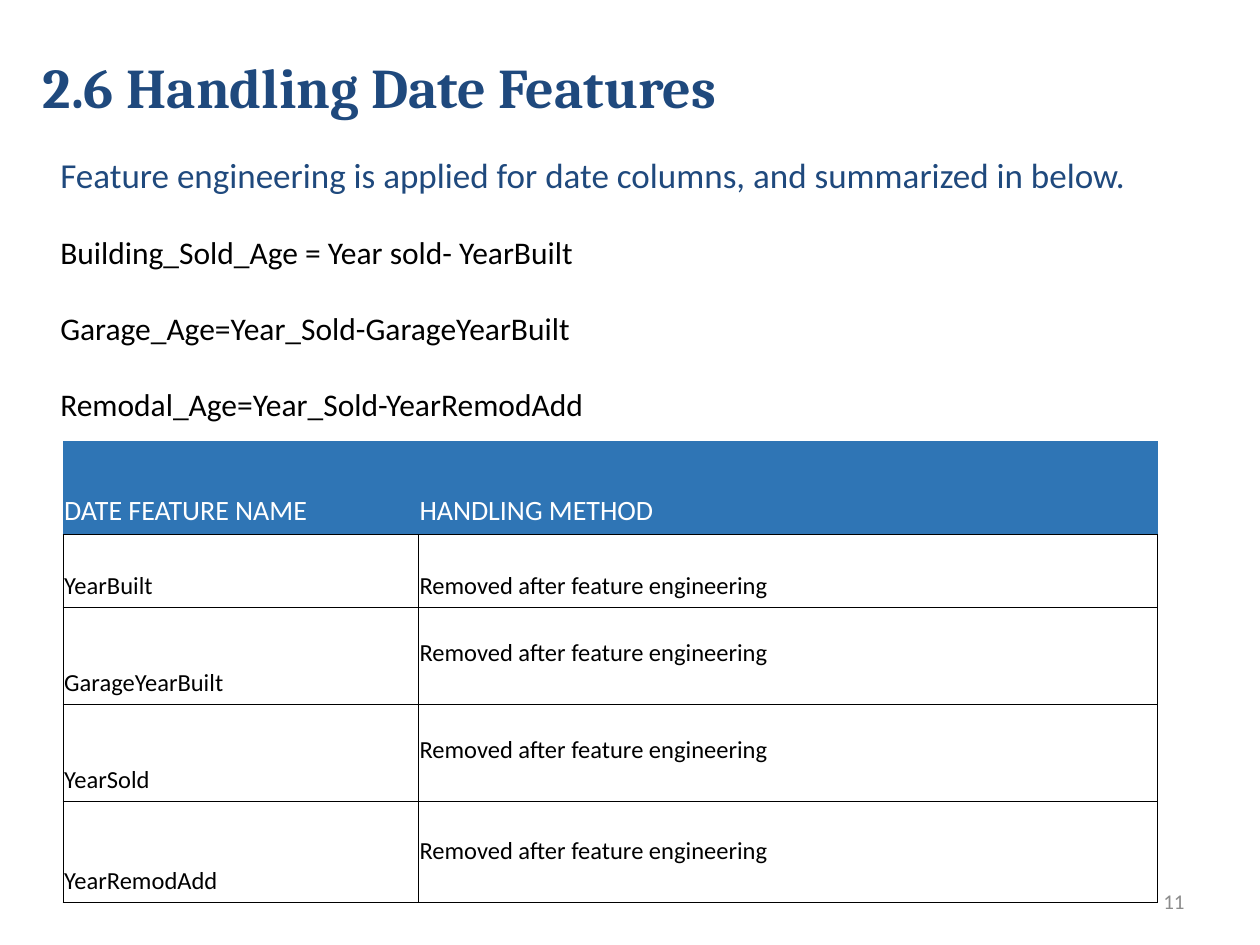
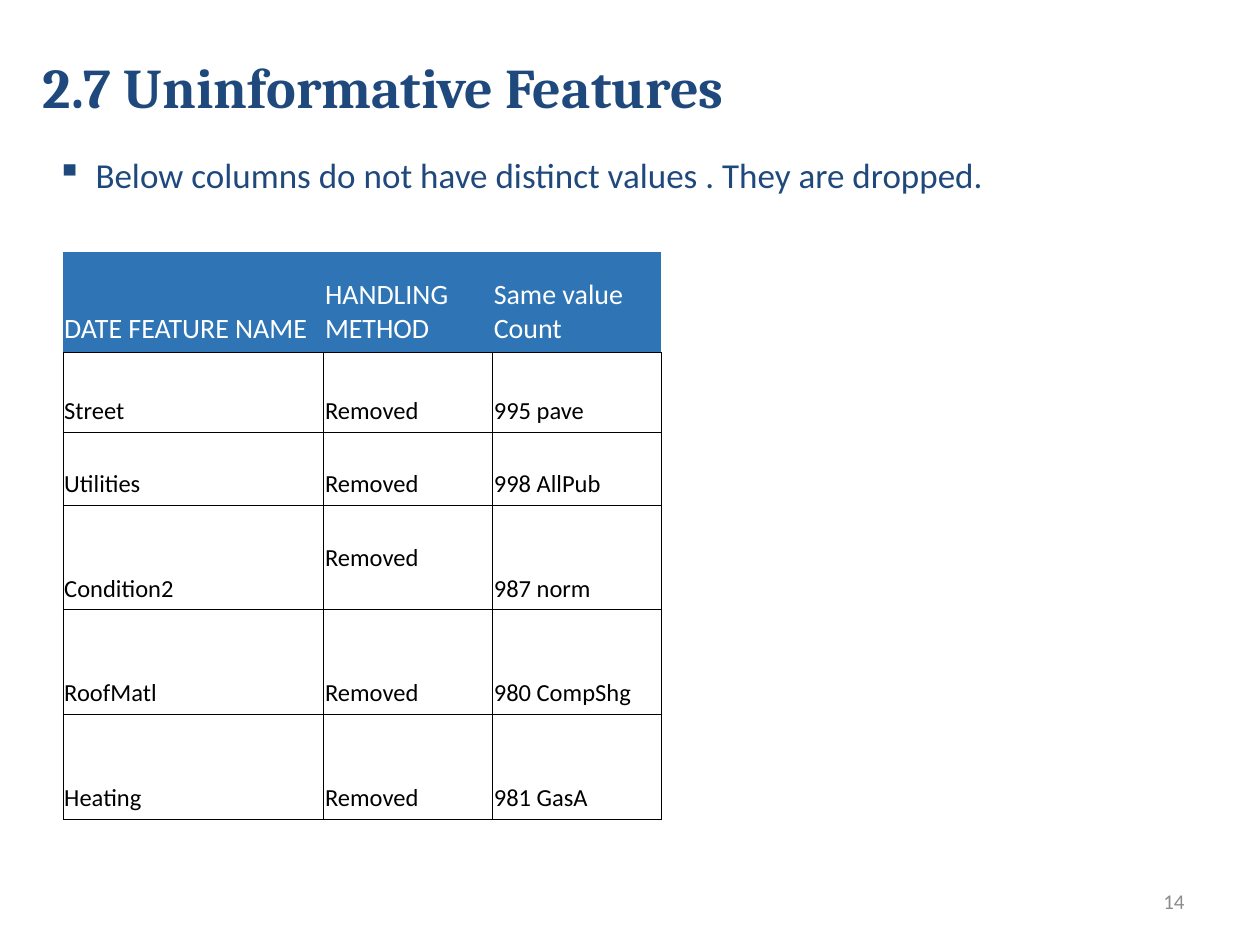
import pptx
import pptx.dml.color
import pptx.enum.text
import pptx.oxml
import pptx.oxml.ns
import pptx.util
from pptx.util import Inches

COLORS = {"navy": "1F497D", "header": "2F75B5", "black": "000000",
          "white": "FFFFFF", "grey": "8C8C8C"}
PLAIN_TABLE = "{2D5ABB26-0587-4C30-8999-92F81FD0307C}"
ANCHOR = pptx.enum.text.MSO_ANCHOR
ALIGN = pptx.enum.text.PP_ALIGN
LINE_14PT = 0.24


def rgb(color):
    return pptx.dml.color.RGBColor.from_string(COLORS[color])


def style(paragraph, size, color, font="Calibri", bold=False):
    paragraph.font.size = pptx.util.Pt(size)
    paragraph.font.color.rgb = rgb(color)
    paragraph.font.name = font
    paragraph.font.bold = bold


def add_text(slide, box, lines, size, color, anchor=ANCHOR.TOP, **font):
    frame = slide.shapes.add_textbox(*map(Inches, box)).text_frame
    frame.word_wrap = True
    frame.vertical_anchor = anchor
    frame.text = "\n".join(lines)
    for paragraph in frame.paragraphs:
        style(paragraph, size, color, **font)
    return frame.paragraphs


def add_title(slide, title):
    add_text(slide, (0.24, 0.06, 9, 1.25), [title], 32, "navy",
             ANCHOR.MIDDLE, font="Cambria", bold=True)


def add_page_number(slide, number):
    page = add_text(slide, (7.17, 6.95, 2.33, 0.4), [str(number)], 12, "grey", ANCHOR.MIDDLE)
    page[0].alignment = ALIGN.RIGHT


def add_bullet(paragraph, symbol):
    properties = paragraph._p.get_or_add_pPr()
    properties.set("marL", str(Inches(0.31)))
    properties.set("indent", str(-Inches(0.31)))
    bullet = pptx.oxml.parse_xml(
        f'<a:buChar {pptx.oxml.ns.nsdecls("a")} char="{symbol}"/>')
    properties.insert_element_before(bullet, "a:tabLst", "a:defRPr", "a:extLst")


def add_borders(cell, sides):
    properties = cell._tc.get_or_add_tcPr()
    for position, side in enumerate(sides):
        properties.insert(position, pptx.oxml.parse_xml(
            f'<a:ln{side} {pptx.oxml.ns.nsdecls("a")} w="{pptx.util.Pt(0.5)}">'
            f'<a:solidFill><a:srgbClr val="{COLORS["black"]}"/></a:solidFill></a:ln{side}>'))


def fill_cell(cell, text, is_header, raised):
    cell.text = text
    cell.vertical_anchor = ANCHOR.BOTTOM
    cell.margin_left = cell.margin_right = cell.margin_top = Inches(0.01)
    cell.margin_bottom = Inches(0.05 + (LINE_14PT if raised else 0))
    paragraph = cell.text_frame.paragraphs[0]
    if is_header:
        style(paragraph, 16, "white")
        cell.fill.solid()
        cell.fill.fore_color.rgb = rgb("header")
        add_borders(cell, "B")
    else:
        style(paragraph, 14, "black")
        cell.fill.background()
        add_borders(cell, "LRTB")


def add_feature_table(slide, top, widths, heights, rows, raised_cells):
    box = map(Inches, (0.5, top, sum(widths), sum(heights)))
    table = slide.shapes.add_table(len(rows), len(widths), *box).table
    table.horz_banding = False
    table._tbl.tblPr.find(pptx.oxml.ns.qn("a:tableStyleId")).text = PLAIN_TABLE
    for column, width in zip(table.columns, widths):
        column.width = Inches(width)
    for row, height in zip(table.rows, heights):
        row.height = Inches(height)
    for r, texts in enumerate(rows):
        for c, text in enumerate(texts):
            fill_cell(table.cell(r, c), text, r == 0, (r, c) in raised_cells)


def add_slide(deck, title, number):
    slide = deck.slides.add_slide(deck.slide_layouts[6])
    add_page_number(slide, number)
    add_title(slide, title)
    return slide


def build_date_features(deck):
    slide = add_slide(deck, "2.6 Handling Date Features", 11)
    date_features = ["YearBuilt", "GarageYearBuilt", "YearSold", "YearRemodAdd"]
    rows = [("DATE FEATURE NAME", "HANDLING METHOD")]
    rows += [(feature, "Removed after feature engineering") for feature in date_features]
    add_feature_table(slide, 3.5, [2.82, 5.87], [0.74, 0.58, 0.77, 0.77, 0.8],
                      rows, {(2, 1), (3, 1), (4, 1)})
    summary, *formulas = add_text(slide, (0.38, 1.17, 9.25, 3.16), [
        "Feature engineering is applied for date columns, and summarized in below.",
        "Building_Sold_Age = Year sold- YearBuilt",
        "Garage_Age=Year_Sold-GarageYearBuilt",
        "Remodal_Age=Year_Sold-YearRemodAdd"], 18, "black")
    style(summary, 20, "navy")
    for formula in formulas:
        formula.space_before = pptx.util.Pt(21.6)


def build_uninformative_features(deck):
    slide = add_slide(deck, "2.7 Uninformative Features", 14)
    dropped = add_text(slide, (0.35, 1.17, 9.25, 0.44),
                       ["Below columns do not have distinct values . They are dropped."],
                       20, "navy")
    add_bullet(dropped[0], "▪")
    same_values = {"Street": "995 pave", "Utilities": "998 AllPub",
                   "Condition2": "987 norm", "RoofMatl": "980 CompShg",
                   "Heating": "981 GasA"}
    rows = [("DATE FEATURE NAME", "HANDLING METHOD", "Same value Count")]
    rows += [(feature, "Removed", count) for feature, count in same_values.items()]
    add_feature_table(slide, 2, [2.07, 1.34, 1.34], [0.8, 0.63, 0.58, 0.83, 0.83, 0.83],
                      rows, {(3, 1)})


def main():
    deck = pptx.Presentation()
    deck.slide_width, deck.slide_height = Inches(10), Inches(7.5)
    build_date_features(deck)
    build_uninformative_features(deck)
    deck.save("out.pptx")


if __name__ == "__main__":
    main()
